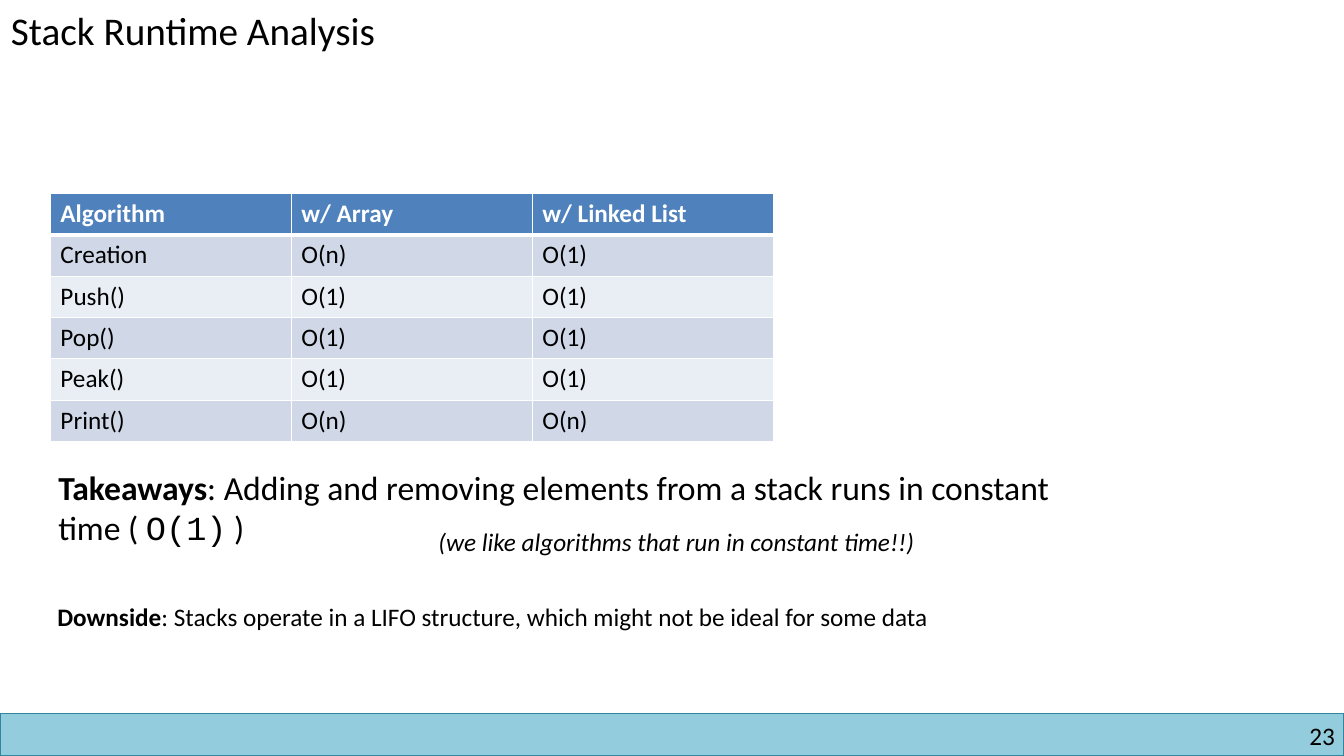
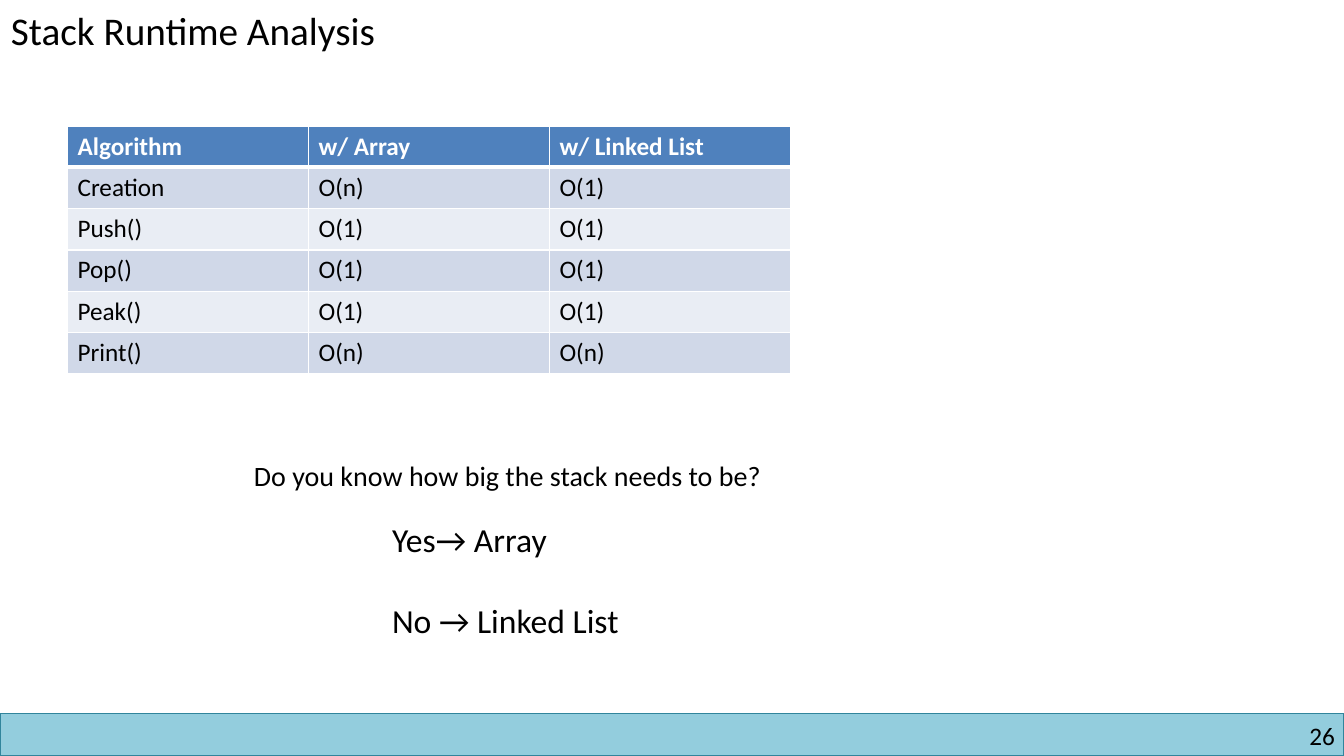
from lxml.etree import SubElement
from pptx import Presentation
from pptx.dml.color import RGBColor
from pptx.enum.shapes import MSO_SHAPE
from pptx.enum.text import PP_ALIGN
from pptx.oxml.ns import qn
from pptx.util import Inches, Pt

BLACK = RGBColor(0x00, 0x00, 0x00)
WHITE = RGBColor(0xFF, 0xFF, 0xFF)
BAND_FILL = RGBColor(0x93, 0xCD, 0xDD)
BAND_LINE = RGBColor(0x31, 0x85, 0x9C)
HEADER = RGBColor(0x4F, 0x81, 0xBD)
ROW_DARK = RGBColor(0xD0, 0xD8, 0xE8)
ROW_LIGHT = RGBColor(0xE9, 0xED, 0xF4)
FONT, CODE_FONT = "Calibri", "Courier New"
WIDTH, HEIGHT, BAND_TOP = 13.33, 7.5, 7.08
COL_W, ROW_H = 2.39, 0.41

TITLE = "Stack Runtime Analysis"
RUNTIMES = [
    ("Algorithm", "w/ Array", "w/ Linked List"),
    ("Creation", "O(n)", "O(1)"),
    ("Push()", "O(1)", "O(1)"),
    ("Pop()", "O(1)", "O(1)"),
    ("Peak()", "O(1)", "O(1)"),
    ("Print()", "O(n)", "O(n)"),
]
# Each text: box, size, paragraphs; each paragraph is a list of (text, style) runs.
SLIDES = [
    {"number": "23", "table_at": (0.5, 1.92), "texts": [
        ((0.48, 4.58, 10.5, 0.91), 24, [[
            ("Takeaways", "bold"),
            (": Adding and removing elements from a stack runs in constant time ( ", ""),
            ("O(1)", "code"), (" )", "")]]),
        ((4.25, 5.17, 5.28, 0.4), 18,
         [[("(we like algorithms that run in constant time!!)", "italic")]]),
        ((0.47, 5.92, 9.75, 0.4), 18, [[
            ("Downside", "bold"),
            (": Stacks operate in a LIFO structure, which might not be ideal for some data", "")]]),
    ]},
    {"number": "26", "table_at": (0.67, 1.25), "texts": [
        ((2.42, 4.5, 5.76, 0.44), 20,
         [[("Do you know how big the stack needs to be?", "")]]),
        ((3.79, 5.1, 2.76, 1.31), 24,
         [[("Yes→ Array", "")], [("No → Linked List", "")]]),
    ]},
]


def style_font(font, size, color=BLACK, style=""):
    font.name = CODE_FONT if style == "code" else FONT
    font.size = Pt(size)
    font.color.rgb = color
    font.bold = style == "bold"
    font.italic = style == "italic"


def add_text(s, box, size, paragraphs):
    tf = s.shapes.add_textbox(*map(Inches, box)).text_frame
    tf.word_wrap = True
    for i, runs in enumerate(paragraphs):
        p = tf.add_paragraph() if i else tf.paragraphs[0]
        if i:
            p.space_before = Pt(size * 1.22)
        for text, style in runs:
            r = p.add_run()
            r.text = text
            style_font(r.font, size, style=style)
    return tf


def add_frame(s, number):
    band = s.shapes.add_shape(MSO_SHAPE.RECTANGLE, 0, Inches(BAND_TOP),
                              Inches(WIDTH), Inches(HEIGHT - BAND_TOP))
    band.shadow.inherit = False
    band.fill.solid()
    band.fill.fore_color.rgb = BAND_FILL
    band.line.color.rgb = BAND_LINE
    band.line.width = Pt(1)
    tf = add_text(s, (10.17, 7.15, 3.07, 0.3), 18, [[(number, "")]])
    tf.margin_left = tf.margin_right = tf.margin_top = tf.margin_bottom = 0
    tf.paragraphs[0].alignment = PP_ALIGN.RIGHT
    add_text(s, (0.01, 0.01, 10.33, 0.57), 28, [[(TITLE, "")]])


def add_borders(cell, row):
    tcPr = cell._tc.get_or_add_tcPr()
    widths = {"L": 1, "R": 1, "T": 3 if row == 1 else 1, "B": 3 if row == 0 else 1}
    for side, width in widths.items():
        ln = SubElement(tcPr, qn(f"a:ln{side}"), w=str(Pt(width)))
        fill = SubElement(ln, qn("a:solidFill"))
        SubElement(fill, qn("a:srgbClr"), val=str(WHITE))


def add_runtimes(s, left, top):
    rows, cols = len(RUNTIMES), len(RUNTIMES[0])
    table = s.shapes.add_table(rows, cols, Inches(left), Inches(top),
                               Inches(COL_W * cols), Inches(ROW_H * rows)).table
    for i, values in enumerate(RUNTIMES):
        fill = HEADER if i == 0 else ROW_DARK if i % 2 else ROW_LIGHT
        for j, value in enumerate(values):
            cell = table.cell(i, j)
            add_borders(cell, i)
            cell.fill.solid()
            cell.fill.fore_color.rgb = fill
            cell.text_frame.text = value
            style_font(cell.text_frame.paragraphs[0].runs[0].font, 18,
                       BLACK if i else WHITE, "" if i else "bold")


def main():
    prs = Presentation()
    prs.slide_width, prs.slide_height = Inches(WIDTH), Inches(HEIGHT)
    for content in SLIDES:
        s = prs.slides.add_slide(prs.slide_layouts[6])
        add_frame(s, content["number"])
        add_runtimes(s, *content["table_at"])
        for box, size, paragraphs in content["texts"]:
            add_text(s, box, size, paragraphs)
    prs.save("out.pptx")


if __name__ == "__main__":
    main()
